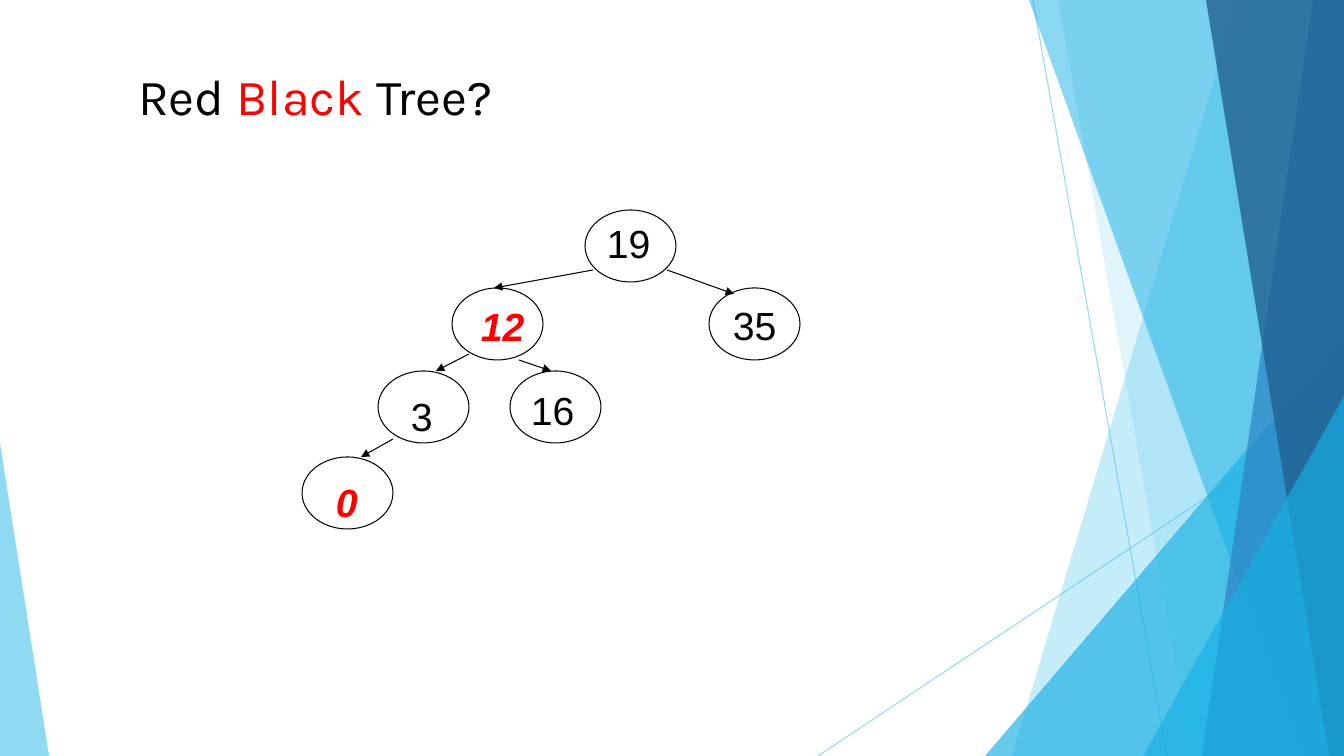
from lxml import etree
from pptx import Presentation
from pptx.dml.color import RGBColor
from pptx.enum.shapes import MSO_CONNECTOR, MSO_SHAPE
from pptx.enum.text import MSO_ANCHOR, MSO_AUTO_SIZE, PP_ALIGN
from pptx.oxml.ns import qn
from pptx.util import Pt

STRAIGHT = MSO_CONNECTOR.STRAIGHT
ELLIPSE = MSO_SHAPE.OVAL
TRIANGLE = MSO_SHAPE.ISOSCELES_TRIANGLE
MIDDLE = MSO_ANCHOR.MIDDLE
LEFT = PP_ALIGN.LEFT
NO_AUTOFIT = MSO_AUTO_SIZE.NONE

WIDTH, HEIGHT = 1344, 756
EMU_PER_PX = 914400 / 100.8
COLORS = {
    "black": "000000",
    "red": "FF0000",
    "sky": "5FCBEF",
    "cyan": "17B0E4",
    "blue": "2E83C3",
    "navy": "226292",
}

TITLE_BOX = (128, 51, 948, 88)
TITLE_RUNS = [("Red ", "black"), ("Black ", "red"), ("Tree?", "black")]

DECOR_LINES = [((1033, 0), (1167, HEIGHT)), ((WIDTH, 406), (818, HEIGHT))]
# kind, geometry, color, opacity: bands give top and bottom x, triangles give box and apex
DECOR_SHAPES = [
    ("band", (1238, 1012), "sky", 36),
    ("band", (1058, 1192), "sky", 20),
    ("triangle", (985, 336, 359, 420, 1), "cyan", 66),
    ("band", (1029, 1301), "cyan", 50),
    ("band", (1313, 1202), "blue", 70),
    ("band", (1206, 1329), "navy", 80),
    ("triangle", (1143, 396, 201, 360, 1), "cyan", 66),
    ("triangle", (0, 443, 49, 313, 0), "sky", 70),
]

NODE_SIZE = (91, 72)
LABEL_HEIGHT = 57
LABEL_WIDTHS = {1: 42, 2: 65}
NODES = [
    ("19", "black", (585, 210), (597, 214)),
    ("12", "red", (452, 288), (471, 297)),
    ("35", "black", (709, 288), (723, 296)),
    ("3", "black", (378, 371), (401, 387)),
    ("16", "black", (510, 371), (521, 381)),
    ("0", "red", (302, 457), (326, 473)),
]
ARROWS = [
    ((593, 270), (494, 288)),
    ((667, 270), (734, 294)),
    ((469, 354), (436, 371)),
    ((519, 360), (551, 371)),
    ((393, 439), (361, 457)),
]


def px(*values):
    return [round(value * EMU_PER_PX) for value in values]


def rgb(name):
    return RGBColor.from_string(COLORS[name])


def set_opacity(color_format_parent, percent):
    color = color_format_parent.find(".//" + qn("a:srgbClr"))
    etree.SubElement(color, qn("a:alpha")).set("val", str(percent * 1000))


def add_line(slide, start, end, color):
    line = slide.shapes.add_connector(STRAIGHT, *px(*start, *end))
    line.line.color.rgb = rgb(color)
    line.line.width = Pt(0.75)
    etree.SubElement(line._element.spPr, qn("a:effectLst"))
    return line


def add_decor(slide, kind, geometry, color, opacity):
    if kind == "band":
        top_x, bottom_x = geometry
        builder = slide.shapes.build_freeform(top_x, 0, scale=EMU_PER_PX)
        builder.add_line_segments([(WIDTH, 0), (WIDTH, HEIGHT), (bottom_x, HEIGHT)])
        shape = builder.convert_to_shape()
    else:
        shape = slide.shapes.add_shape(TRIANGLE, *px(*geometry[:4]))
        shape.adjustments[0] = geometry[4]
    shape.shadow.inherit = False
    shape.fill.solid()
    shape.fill.fore_color.rgb = rgb(color)
    shape.line.fill.background()
    set_opacity(shape._element.spPr, opacity)


def add_node(slide, text, color, position, label_position):
    node = slide.shapes.add_shape(ELLIPSE, *px(*position, *NODE_SIZE))
    node.shadow.inherit = False
    node.fill.background()
    node.line.color.rgb = rgb("black")
    node.line.width = Pt(0.75)
    label_size = (LABEL_WIDTHS[len(text)], LABEL_HEIGHT)
    label = slide.shapes.add_textbox(*px(*label_position, *label_size))
    label.text_frame.text = text
    font = label.text_frame.paragraphs[0].runs[0].font
    font.name = "Arial"
    font.size = Pt(28)
    font.color.rgb = rgb(color)
    if color == "red":
        font.bold = font.italic = True


def add_arrow(slide, start, end):
    arrow = add_line(slide, start, end, "black")
    outline = arrow._element.spPr.find(qn("a:ln"))
    etree.SubElement(outline, qn("a:tailEnd")).set("type", "triangle")


def fill_title(title):
    title.left, title.top, title.width, title.height = px(*TITLE_BOX)
    frame = title.text_frame
    frame.auto_size = NO_AUTOFIT
    frame.vertical_anchor = MIDDLE
    paragraph = frame.paragraphs[0]
    paragraph.alignment = LEFT
    for text, color in TITLE_RUNS:
        run = paragraph.add_run()
        run.text = text
        run.font.name = "Karla"
        run.font.size = Pt(36)
        run.font.color.rgb = rgb(color)


def main():
    presentation = Presentation()
    presentation.slide_width, presentation.slide_height = px(WIDTH, HEIGHT)
    slide = presentation.slides.add_slide(presentation.slide_layouts[5])
    fill_title(slide.shapes.title)
    for start, end in DECOR_LINES:
        line = add_line(slide, start, end, "sky")
        set_opacity(line._element.spPr, 70)
    for decor in DECOR_SHAPES:
        add_decor(slide, *decor)
    for node in NODES:
        add_node(slide, *node)
    for arrow in ARROWS:
        add_arrow(slide, *arrow)
    presentation.save("out.pptx")


if __name__ == "__main__":
    main()
